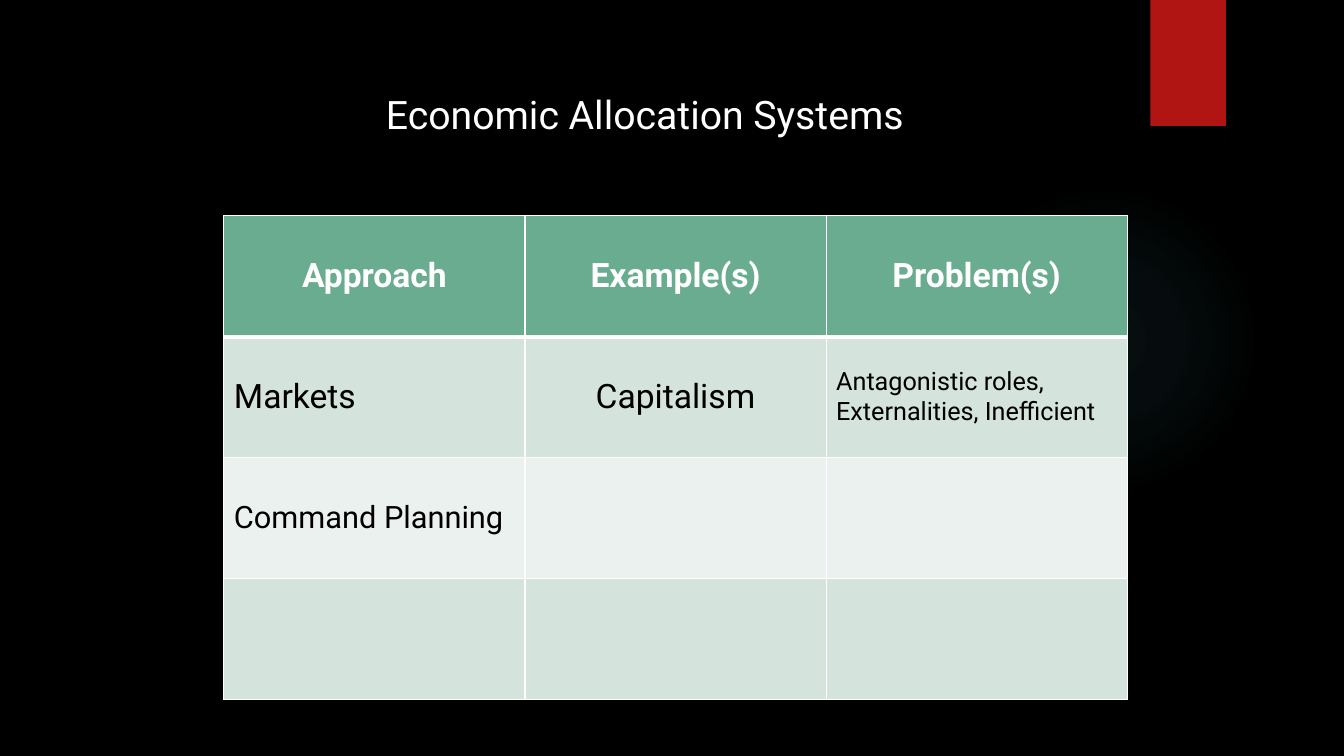
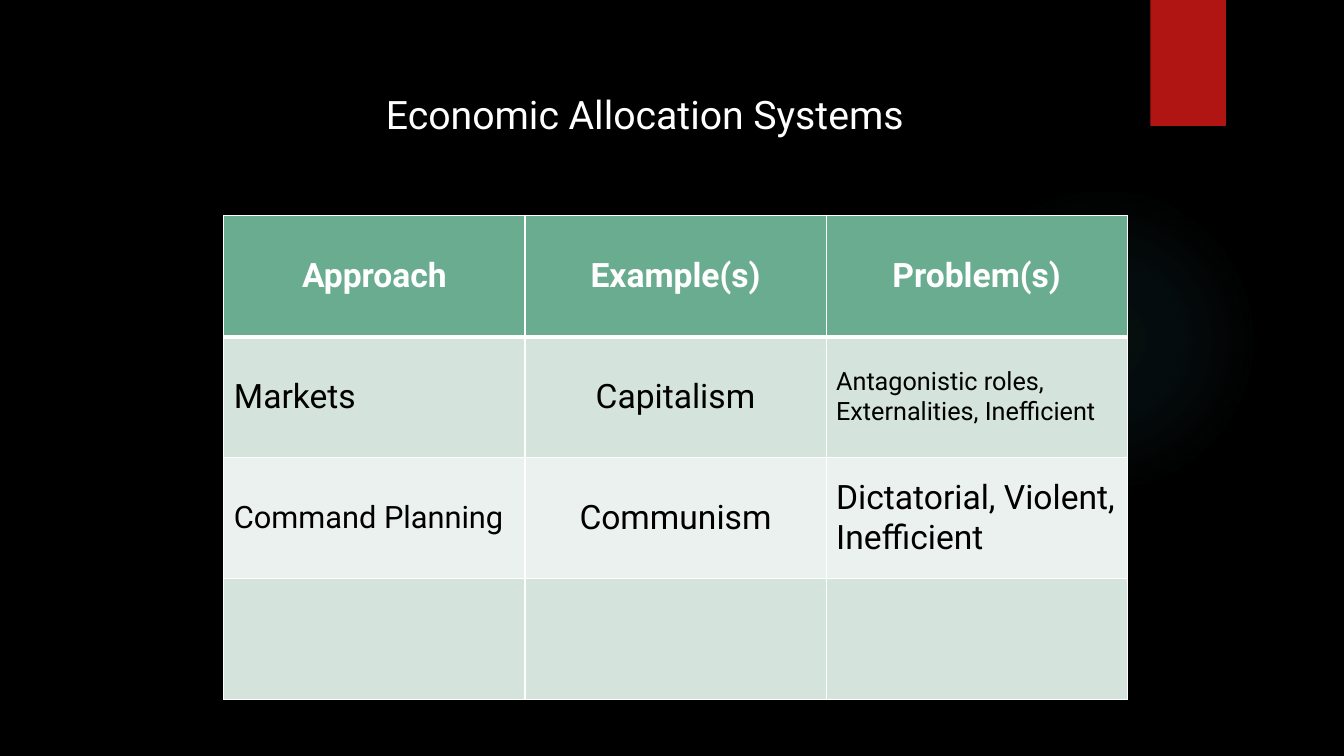
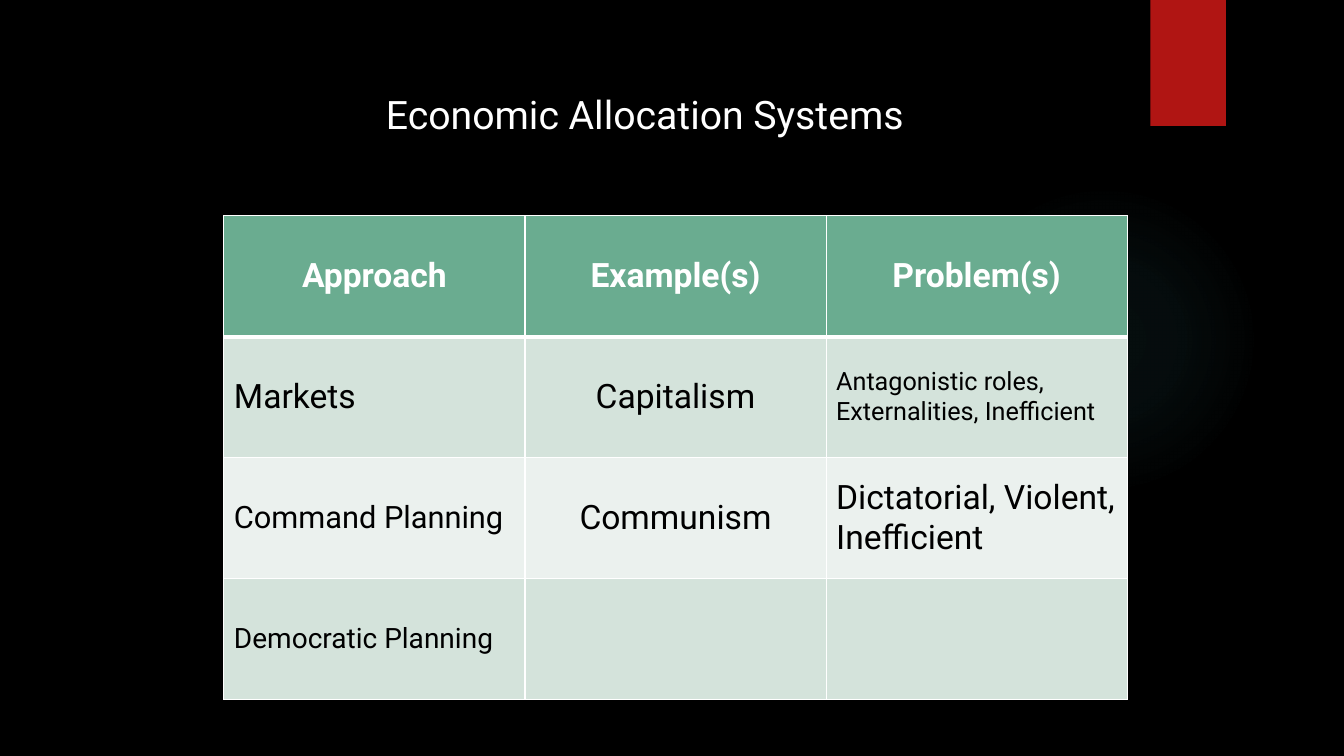
from lxml import etree
from pptx import Presentation
from pptx import util as u
from pptx.dml.color import RGBColor
from pptx.enum import shapes, text
from pptx.oxml import parse_xml
from pptx.oxml.ns import nsdecls, qn

INK = {
    "back": "000000", "light": "FFFFFF", "dark": "000000", "glow": "50B9C1",
    "band": "B01513", "head": "6AAC90", "odd": "D4E3DB", "even": "EBF1EE",
}
FONT = "Roboto"
TITLE = "Economic Allocation Systems"
HEADS = ["Approach", "Example(s)", "Problem(s)"]
# Cells in reading order: words and size
CELLS = [
    ("Markets", 24), ("Capitalism", 24),
    ("Antagonistic roles, Externalities, Inefficient", 18),
    ("Command Planning", 22), ("Communism", 24),
    ("Dictatorial, Violent, Inefficient", 24),
    ("Democratic Planning", 20),
]
SHOWN = [4, 6, 7]  # cells filled on each slide
ROWS = 4


def tint(name):
    return RGBColor.from_string(INK[name])


def box(left, top, width, height):
    return [u.Inches(n) for n in (left, top, width, height)]


def write(frame, words, size, color, bold=False, center=False):
    par = frame.paragraphs[0]
    par.alignment = text.PP_ALIGN.CENTER if center else text.PP_ALIGN.LEFT
    run = par.add_run()
    run.text = words
    font = run.font
    font.name, font.size, font.bold = FONT, u.Pt(size), bold
    font.color.rgb = tint(color)


def plain(slide, kind, area):
    shape = slide.shapes.add_shape(kind, *area)
    shape.shadow.inherit = False
    shape.line.fill.background()
    shape.fill.solid()
    return shape


def add_glow(slide, area):
    glow = plain(slide, shapes.MSO_SHAPE.OVAL, area)
    stops = "".join(
        f'<a:gs pos="{pos * 1000}"><a:srgbClr val="{INK["glow"]}">'
        f'<a:alpha val="{alpha * 1000}"/></a:srgbClr></a:gs>'
        for pos, alpha in ((0, 7), (36, 6), (69, 0)))
    grad = parse_xml(
        f'<a:gradFill {nsdecls("a")} rotWithShape="1"><a:gsLst>{stops}</a:gsLst>'
        '<a:path path="circle"><a:fillToRect l="50000" t="50000" r="50000" '
        'b="50000"/></a:path></a:gradFill>')
    props = glow.element.spPr
    props.replace(props.find(qn("a:solidFill")), grad)
    return glow


def add_band(slide, area):
    band = plain(slide, shapes.MSO_SHAPE.RECTANGLE, area)
    band.fill.fore_color.rgb = tint("band")
    band.element.spPr.find(qn("a:effectLst")).append(parse_xml(
        f'<a:outerShdw {nsdecls("a")} blurRad="{u.Pt(3)}" dist="{u.Pt(2)}" '
        'dir="5400000" rotWithShape="0"><a:srgbClr val="000000">'
        '<a:alpha val="45000"/></a:srgbClr></a:outerShdw>'))
    return band


def set_base(deck, layout, slide):
    """Move the shared backdrop from a slide to its layout."""
    fill = deck.slide_master.background.fill
    fill.solid()
    fill.fore_color.rgb = tint("back")
    for part in (add_glow(slide, box(9.41, 1.83, 3.08, 3.08)),
                 add_band(slide, box(11.41, 0, 0.75, 1.25))):
        layout.shapes.element.append(part.element)


def add_title(slide, area):
    frame = slide.shapes.add_textbox(*area).text_frame
    frame.word_wrap = True
    frame.auto_size = text.MSO_AUTO_SIZE.SHAPE_TO_FIT_TEXT
    write(frame, TITLE, 28, "light")


def edge(cell, row):
    props = cell._tc.get_or_add_tcPr()
    widths = {"L": 1, "R": 1, "T": 3 if row == 1 else 1, "B": 3 if row == 0 else 1}
    for spot, (side, width) in enumerate(widths.items()):
        line = etree.Element(qn(f"a:ln{side}"), w=str(u.Pt(width)))
        fill = etree.SubElement(line, qn("a:solidFill"))
        etree.SubElement(fill, qn("a:srgbClr"), val=INK["light"])
        props.insert(spot, line)


def add_grid(slide, area, shown):
    cols = len(HEADS)
    grid = slide.shapes.add_table(ROWS, cols, *area).table
    for row in range(ROWS):
        for col in range(cols):
            cell = grid.cell(row, col)
            cell.vertical_anchor = text.MSO_ANCHOR.MIDDLE
            cell.fill.solid()
            shade = "head" if row == 0 else "odd" if row % 2 else "even"
            cell.fill.fore_color.rgb = tint(shade)
            edge(cell, row)
            spot = (row - 1) * cols + col
            if row == 0:
                write(cell.text_frame, HEADS[col], 24, "light", True, True)
            elif spot < shown:
                words, size = CELLS[spot]
                write(cell.text_frame, words, size, "dark", center=col == 1)


def main():
    deck = Presentation()
    deck.slide_width, deck.slide_height = u.Inches(13.33), u.Inches(7.5)
    blank = deck.slide_layouts[6]
    for num, shown in enumerate(SHOWN):
        slide = deck.slides.add_slide(blank)
        if num == 0:
            set_base(deck, blank, slide)
        add_grid(slide, box(2.22, 2.14, 8.96, 4.8), shown)
        add_title(slide, box(3.73, 0.85, 5.87, 0.57))
    deck.save("out.pptx")


if __name__ == "__main__":
    main()
